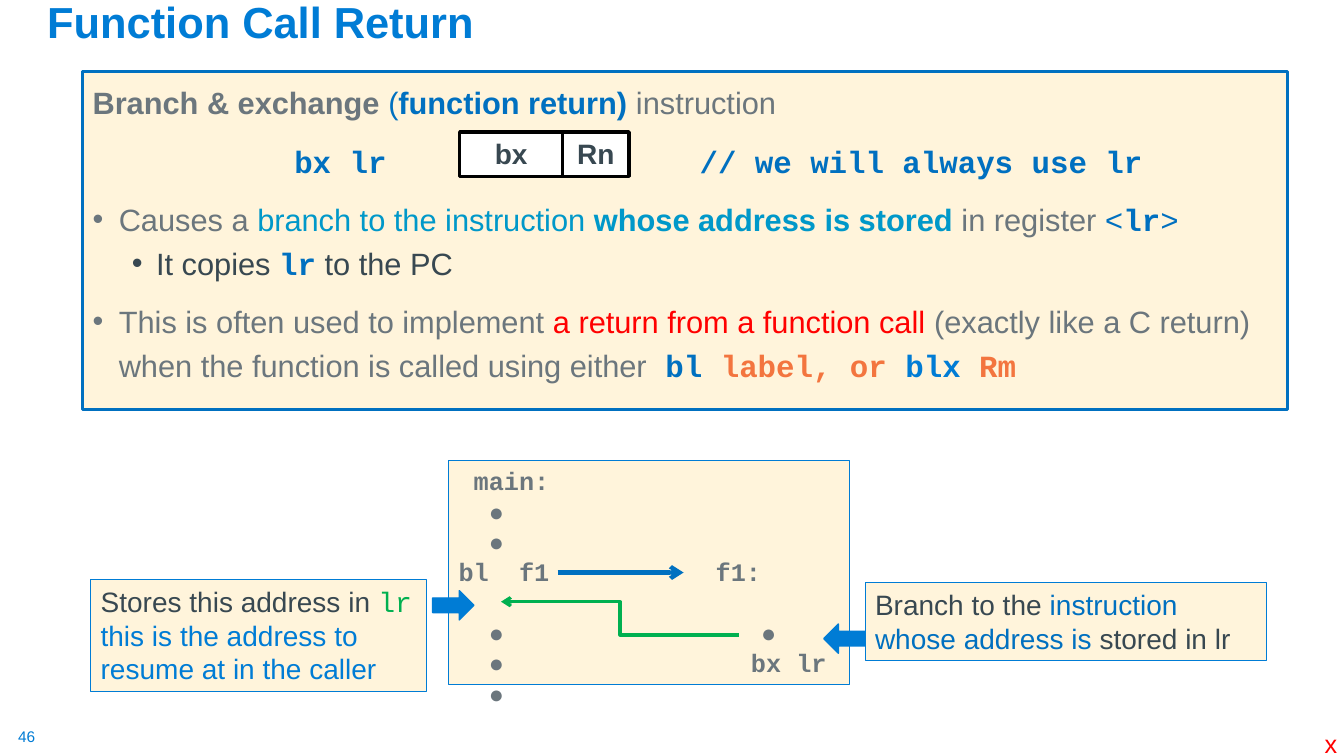
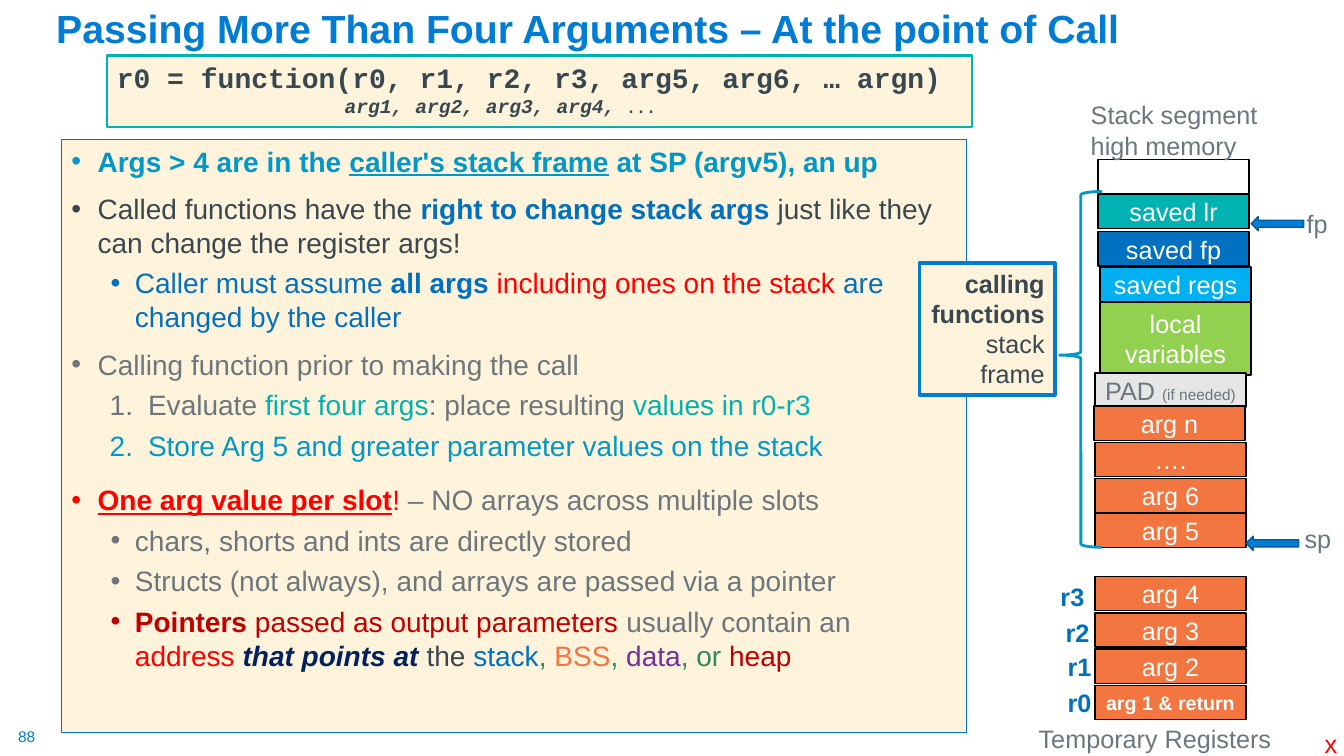
from dataclasses import dataclass
from typing import NamedTuple

from lxml import etree
from pptx import Presentation
from pptx.dml.color import RGBColor
from pptx.enum.shapes import MSO_CONNECTOR as Connector, MSO_SHAPE as Preset
from pptx.enum.text import MSO_ANCHOR as Anchor, PP_ALIGN as Align
from pptx.oxml.ns import qn
from pptx.util import Inches, Pt

COLORS = {
    "title": "007CD5", "blue": "0070C0", "cyan": "0098C9", "teal": "00B2B1",
    "sky": "00B0F0", "navy": "002060", "arrow edge": "005C9E", "gray": "6B767D",
    "dark": "384851", "red": "FF0000", "crimson": "C00000", "orange": "F3753F",
    "green": "00B050", "forest": "2C895B", "lime": "92D050", "purple": "7030A0",
    "cream": "FFF4DB", "pad": "E7E6E6", "white": "FFFFFF", "black": "000000",
}
SANS, MONO = "Arial", "Courier New"


class Box(NamedTuple):
    left: float
    top: float
    width: float
    height: float


class Run(NamedTuple):
    text: str
    color: str = ""
    bold: bool | None = None
    font: str = ""
    italic: bool | None = None
    underline: bool | None = None
    size: float = 0


class ListStyle(NamedTuple):
    level: int
    margin: float
    hanging: float
    before: float
    numbered: bool = False


POINT = ListStyle(0, 0.26, 0.26, 10)
SUBPOINT = ListStyle(1, 0.63, 0.24, 5)
STEP = ListStyle(1, 0.76, 0.38, 5, numbered=True)


@dataclass
class Para:
    runs: str | list[Run]
    color: str = "gray"
    size: float = 18
    bold: bool = False
    font: str = SANS
    align: Align = Align.LEFT
    style: ListStyle | None = None
    spacing: float = 1
    before: float = 0
    indent: float = 0
    tabs: tuple[float, ...] = ()


class CodeRow(NamedTuple):
    code: str
    tabs: tuple[float, ...] = ()
    before: float = 0


class Slot(NamedTuple):
    label: str | list[Run]
    left: float
    top: float
    fill: str
    height: float = 0.34
    ink: str = "white"


class Label(NamedTuple):
    text: str
    box: Box
    color: str = "gray"
    bold: bool = False


def rgb(name: str) -> RGBColor:
    return RGBColor.from_string(COLORS[name])


def set_indents(paragraph, para: Para) -> None:
    """Apply margins, bullets or numbers, and tab stops."""
    props = paragraph._p.get_or_add_pPr()
    if para.indent:
        props.set("marL", str(Inches(para.indent)))
    if para.style:
        paragraph.level = para.style.level
        props.set("marL", str(Inches(para.style.margin)))
        props.set("indent", str(-Inches(para.style.hanging)))
        if para.style.numbered:
            etree.SubElement(props, qn("a:buAutoNum"), type="arabicPeriod")
        else:
            etree.SubElement(props, qn("a:buFont"), typeface=SANS)
            etree.SubElement(props, qn("a:buChar"), char="•")
    if para.tabs:
        stops = etree.SubElement(props, qn("a:tabLst"))
        for stop in para.tabs:
            etree.SubElement(stops, qn("a:tab"), pos=str(Inches(stop)), algn="l")


def write(frame, paras: list[Para], anchor=Anchor.TOP, wrap: bool = True) -> None:
    frame.word_wrap = wrap
    frame.vertical_anchor = anchor
    for index, para in enumerate(paras):
        paragraph = frame.add_paragraph() if index else frame.paragraphs[0]
        set_indents(paragraph, para)
        paragraph.alignment = para.align
        paragraph.line_spacing = para.spacing
        before = para.style.before if para.style else para.before
        paragraph.space_before = Pt(before if index else 0)
        base = paragraph.font
        base.name, base.size, base.bold = para.font, Pt(para.size), para.bold
        base.color.rgb = rgb(para.color)
        runs = [Run(para.runs)] if isinstance(para.runs, str) else para.runs
        for part in runs:
            run = paragraph.add_run()
            run.text = part.text
            if part.color:
                run.font.color.rgb = rgb(part.color)
            if part.font:
                run.font.name = part.font
            if part.size:
                run.font.size = Pt(part.size)
            if part.bold is not None:
                run.font.bold = part.bold
            if part.italic is not None:
                run.font.italic = part.italic
            if part.underline is not None:
                run.font.underline = part.underline


def add_text(slide, box: Box, paras: list[Para], anchor=Anchor.TOP, wrap: bool = True):
    frame = slide.shapes.add_textbox(*map(Inches, box)).text_frame
    write(frame, paras, anchor, wrap)
    return frame


def add_preset(slide, preset, box: Box, fill: str, line: str, weight: float):
    shape = slide.shapes.add_shape(preset, *map(Inches, box))
    shape.shadow.inherit = False
    if fill:
        shape.fill.solid()
        shape.fill.fore_color.rgb = rgb(fill)
    else:
        shape.fill.background()
    shape.line.color.rgb = rgb(line)
    shape.line.width = Pt(weight)
    return shape


def add_panel(slide, box: Box, paras: list[Para], line: str = "title",
              weight: float = 0.75, fill: str = "cream", anchor=Anchor.TOP) -> None:
    panel = add_preset(slide, Preset.RECTANGLE, box, fill, line, weight)
    write(panel.text_frame, paras, anchor)


def add_arrow_line(slide, kind, start, end, color: str, weight: float) -> None:
    link = slide.shapes.add_connector(kind, *map(Inches, (*start, *end)))
    link.line.color.rgb = rgb(color)
    link.line.width = Pt(weight)
    etree.SubElement(link.line._get_or_add_ln(), qn("a:tailEnd"), type="arrow")
    etree.SubElement(link._element.spPr, qn("a:effectLst"))


def start_slide(deck, title: str, box: Box, size: float, number: int):
    """Add a blank slide with its title, page number and corner mark."""
    slide = deck.slides.add_slide(deck.slide_layouts[6])
    page = add_text(slide, Box(0.18, 7.21, 0.19, 0.19),
                    [Para(str(number), "title", 11)], wrap=False)
    page.margin_left = page.margin_right = page.margin_top = page.margin_bottom = 0
    add_text(slide, box, [Para(title, "title", size, True, spacing=0.9)], Anchor.BOTTOM)
    add_text(slide, Box(13.04, 7.18, 0.33, 0.4), [Para("x", "red")], wrap=False)
    return slide


def build_return_slide(deck) -> None:
    slide = start_slide(deck, "Function Call Return", Box(0.37, 0.08, 12.87, 0.44), 31, 46)
    add_panel(slide, Box(0.82, 0.71, 11.95, 3.35), [
        Para([Run("Branch & exchange ", bold=True), Run("(", "blue"),
              Run("function return) ", "blue", True), Run("instruction")],
             size=22, spacing=1.2),
        Para("\tbx lr\t// we will always use lr", "blue", 22, True, MONO,
             spacing=1.2, before=10, tabs=(2, 6.02)),
        Para([Run("Causes a "), Run("branch to the instruction ", "cyan"),
              Run("whose address is stored", "cyan", True), Run(" in register "),
              Run("<", "blue", font=MONO), Run("lr", "blue", True, MONO),
              Run(">", "blue", font=MONO)], size=22, style=POINT, spacing=1.2),
        Para([Run("It copies "), Run("lr", "blue", True, MONO), Run(" to the PC")],
             "dark", 22, style=SUBPOINT),
        Para([Run("This is often used to implement "),
              Run("a return from a function call ", "red"),
              Run("(exactly like a C return) when the function is called using either"),
              Run(" bl ", "blue", True, MONO), Run("label, or ", "orange", True, MONO),
              Run("blx", "title", True, MONO), Run(" Rm", "orange", True, MONO)],
             size=22, style=POINT, spacing=1.2),
    ], "blue", 2.25)
    for field, left, width in (("bx", 4.56, 1.02), ("Rn", 5.58, 0.66)):
        add_panel(slide, Box(left, 1.31, width, 0.44),
                  [Para(field, "dark", 20, True, align=Align.CENTER)], "black", 2.5, "white")

    listing = (CodeRow(" main:"), CodeRow("  ●"), CodeRow("  ●"),
               CodeRow("bl  f1           f1:"), CodeRow("  ●\t●", (3,), before=22),
               CodeRow("  ●\tbx lr", (2.9,)), CodeRow("  ●"))
    add_panel(slide, Box(4.45, 4.57, 3.98, 2.22),
              [Para(row.code, bold=True, font=MONO, tabs=row.tabs, before=row.before)
               for row in listing])
    add_arrow_line(slide, Connector.STRAIGHT, (5.53, 5.68), (6.78, 5.68), "blue", 3)
    add_arrow_line(slide, Connector.ELBOW, (7.33, 6.3), (4.97, 5.97), "green", 2.25)

    add_panel(slide, Box(8.58, 5.78, 3.98, 0.77), [
        Para([Run("Branch to the "), Run("instruction whose address is ", "blue"),
              Run("stored in lr")], "dark", 20)])
    add_panel(slide, Box(0.9, 5.75, 3.33, 1.11), [
        Para([Run("Stores this address in "), Run("lr", "green", font=MONO)], "dark", 20),
        Para("this is the address to resume at in the caller", "title", 20)])
    for preset, left, top in ((Preset.LEFT_ARROW, 8.17, 6.19), (Preset.RIGHT_ARROW, 4.29, 5.86)):
        add_preset(slide, preset, Box(left, top, 0.41, 0.29), "title", "title", 1)


def build_arguments_slide(deck) -> None:
    slide = start_slide(deck, "Passing More Than Four Arguments – At the point of Call",
                        Box(0.46, 0.02, 11.5, 0.54), 28, 88)
    add_panel(slide, Box(0.61, 1.38, 8.98, 5.89), [
        Para([Run("Args > 4 are in the "), Run("caller's stack frame", underline=True),
              Run(" at SP (argv5), an up")], "cyan", 20, True, style=POINT),
        Para([Run("Called functions have the "),
              Run("right to change stack args ", "blue", True),
              Run("just like they can change the register args!")], "dark", 20, style=POINT),
        Para([Run("Caller must assume "), Run("all args ", bold=True),
              Run("including ones on the stack ", "red"),
              Run("are changed by the caller")], "blue", 20, style=SUBPOINT),
        Para("Calling function prior to making the call", size=20, style=POINT),
        Para([Run("Evaluate "), Run("first four args", "teal"), Run(": place resulting "),
              Run("values in r0-r3", "teal")], size=20, style=STEP),
        Para("Store Arg 5 and greater parameter values on the stack", "cyan", 20, style=STEP),
        Para([Run("One arg value per slot", "red", True, underline=True), Run("! ", "red"),
              Run("– NO arrays across multiple slots")], size=20, style=POINT, spacing=1.2),
        Para("chars, shorts and ints are directly stored", size=20, style=SUBPOINT),
        Para("Structs (not always), and arrays are passed via a pointer",
             size=20, style=SUBPOINT),
        Para([Run("Pointers", "crimson", True), Run(" passed as output parameters ", "crimson"),
              Run("usually contain an "), Run("address ", "red"),
              Run("that points at ", "navy", True, italic=True), Run("the ", "dark"),
              Run("stack", "blue"), Run(", ", "forest"), Run("BSS", "orange"),
              Run(", ", "forest"), Run("data", "purple"), Run(", or ", "forest"),
              Run("heap", "crimson")], size=20, style=SUBPOINT),
    ], "blue")
    add_panel(slide, Box(1.06, 0.55, 8.58, 0.71), [
        Para("r0 = function(r0, r1, r2, r3, arg5, arg6, … argn)", "dark", 20, True, MONO),
        Para([Run("arg1, arg2, arg3, arg4,", italic=True), Run(" ...", size=12)],
             "dark", 14, True, MONO, indent=2.26),
    ], "teal", 1.75)

    slots = [
        Slot("", 10.89, 1.58, ""),
        Slot("saved lr", 10.89, 1.93, "teal"),
        Slot("saved fp", 10.89, 2.3, "blue"),
        Slot("saved regs", 10.91, 2.65, "sky"),
        Slot("local variables", 10.91, 3, "lime", 0.72),
        Slot([Run("PAD "), Run("(if needed)", size=11)], 10.86, 3.7, "pad", ink="gray"),
        Slot("arg n", 10.85, 4.03, "orange"),
        Slot("….", 10.86, 4.39, "orange"),
        Slot("arg 6", 10.86, 4.75, "orange"),
        Slot("arg 5", 10.86, 5.09, "orange"),
    ]
    registers = ("arg 4", "arg 3", "arg 2", [Run("arg 1 & return", bold=True, size=14)])
    slots += [Slot(value, 10.86, 5.72 + 0.36 * row, "orange")
              for row, value in enumerate(registers)]
    for slot in slots:
        content = [Para(slot.label, slot.ink, align=Align.CENTER)] if slot.label else []
        add_panel(slide, Box(slot.left, slot.top, 1.5, slot.height), content,
                  "black", 1, slot.fill, Anchor.MIDDLE)

    labels = [
        Label("r3", Box(10.42, 5.72, 0.44, 0.4), "blue", True),
        Label("r2", Box(10.47, 6.08, 0.44, 0.4), "blue", True),
        Label("r1", Box(10.49, 6.41, 0.44, 0.4), "blue", True),
        Label("r0", Box(10.49, 6.77, 0.44, 0.4), "blue", True),
        Label("fp", Box(12.86, 2.02, 0.41, 0.4)),
        Label("sp", Box(12.84, 5.14, 0.47, 0.4)),
    ]
    for label in labels:
        add_text(slide, label.box, [Para(label.text, label.color, bold=label.bold)], wrap=False)
    add_text(slide, Box(10.19, 7.13, 2.53, 0.4),
             [Para("Temporary Registers", align=Align.CENTER)], wrap=False)
    add_text(slide, Box(10.72, 0.94, 2, 0.71), [Para("Stack segment"), Para("high memory")])
    for left, top in ((12.41, 2.15), (12.36, 5.32)):
        add_preset(slide, Preset.LEFT_ARROW, Box(left, top, 0.52, 0.14), "title", "arrow edge", 1)

    brace = add_preset(slide, Preset.LEFT_BRACE, Box(10.51, 1.9, 0.42, 3.53), "", "cyan", 2)
    brace.adjustments[0], brace.adjustments[1] = 0.08, 0.46
    add_panel(slide, Box(9.12, 2.61, 1.34, 1.31), [
        Para([Run("calling functions ", bold=True), Run("stack frame")],
             "dark", align=Align.RIGHT)], weight=2.75)


def main() -> None:
    deck = Presentation()
    deck.slide_width, deck.slide_height = Inches(13.33), Inches(7.5)
    build_return_slide(deck)
    build_arguments_slide(deck)
    deck.save("out.pptx")


if __name__ == "__main__":
    main()
